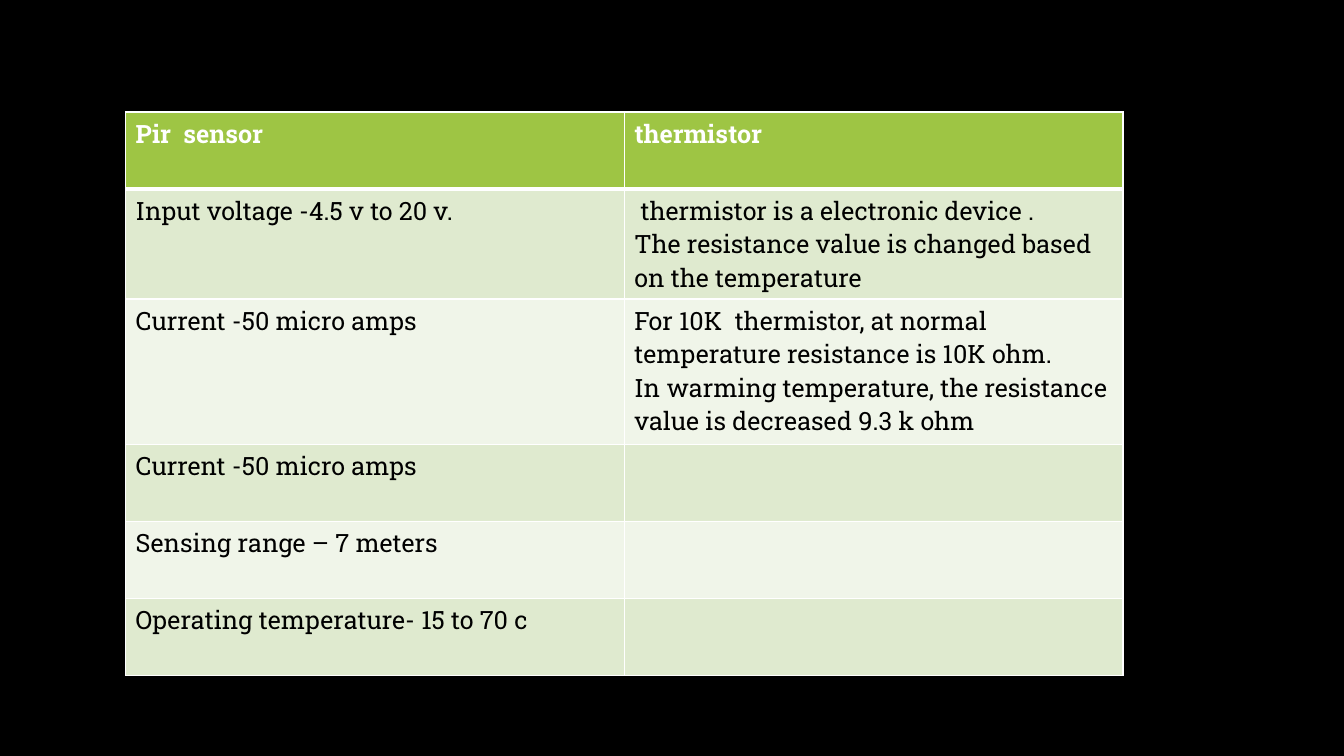
from lxml import etree
from pptx import Presentation
from pptx.dml.color import RGBColor
from pptx.oxml.ns import qn
from pptx.util import Pt

COLORS = {
    "background": "000000",
    "header": "9EC544",
    "band_dark": "DFEACF",
    "band_light": "F0F5E9",
    "border": "FFFFFF",
    "header_text": "FFFFFF",
    "body_text": "000000",
}
FONT = "Roboto Slab"
HEADER_FORMAT = {"name": FONT, "size": Pt(18), "bold": True}
BODY_FORMAT = {"name": FONT, "size": Pt(18), "bold": False}
LEFT, TOP = 89.75, 80
COLUMN_WIDTH = 356.2
ROW_HEIGHTS = [55, 78.5, 103.75, 55, 55, 55]
ROWS = [
    ("Pir  sensor", "thermistor"),
    (
        "Input voltage -4.5 v to 20 v.",
        " thermistor is a electronic device .\n"
        "The resistance value is changed based on the temperature",
    ),
    (
        "Current -50 micro amps",
        "For 10K  thermistor, at normal temperature resistance is 10K ohm.\n"
        "In warming temperature, the resistance value is decreased 9.3 k ohm",
    ),
    ("Current -50 micro amps", ""),
    ("Sensing range – 7 meters", ""),
    ("Operating temperature- 15 to 70 c", ""),
]


def rgb(name):
    return RGBColor.from_string(COLORS[name])


def set_background(s, color):
    fill = s.background.fill
    fill.solid()
    fill.fore_color.rgb = rgb(color)


def set_borders(cell, widths):
    tc_pr = cell._tc.get_or_add_tcPr()
    for i, (side, width) in enumerate(widths.items()):
        ln = etree.Element(qn(f"a:ln{side}"), w=str(Pt(width)))
        fill = etree.SubElement(ln, qn("a:solidFill"))
        etree.SubElement(fill, qn("a:srgbClr"), val=COLORS["border"])
        tc_pr.insert(i, ln)


def set_font(font, color, formats):
    for name, value in formats.items():
        setattr(font, name, value)
    font.color.rgb = rgb(color)


def fill_cell(cell, text, fill, text_color, formats, borders):
    cell.fill.solid()
    cell.fill.fore_color.rgb = rgb(fill)
    set_borders(cell, borders)
    tf = cell.text_frame
    tf.text = text
    for p in tf.paragraphs:
        if not p.runs:
            set_font(p.font, text_color, formats)
        for r in p.runs:
            set_font(r.font, text_color, formats)


def add_sensor_table(s):
    column_count = len(ROWS[0])
    frame = s.shapes.add_table(
        len(ROWS), column_count, Pt(LEFT), Pt(TOP),
        Pt(COLUMN_WIDTH * column_count), Pt(sum(ROW_HEIGHTS)),
    )
    table = frame.table
    for column in table.columns:
        column.width = Pt(COLUMN_WIDTH)
    for i, (height, texts) in enumerate(zip(ROW_HEIGHTS, ROWS)):
        table.rows[i].height = Pt(height)
        if i == 0:
            style = ("header", "header_text", HEADER_FORMAT)
        else:
            band = "band_dark" if i % 2 else "band_light"
            style = (band, "body_text", BODY_FORMAT)
        borders = {"L": 1, "R": 1, "T": 3 if i == 1 else 1, "B": 3 if i == 0 else 1}
        for j, text in enumerate(texts):
            fill_cell(table.cell(i, j), text, *style, borders)


def main():
    prs = Presentation()
    prs.slide_width, prs.slide_height = Pt(960), Pt(540)
    s = prs.slides.add_slide(prs.slide_layouts[6])
    set_background(s, "background")
    add_sensor_table(s)
    prs.save("out.pptx")


if __name__ == "__main__":
    main()
